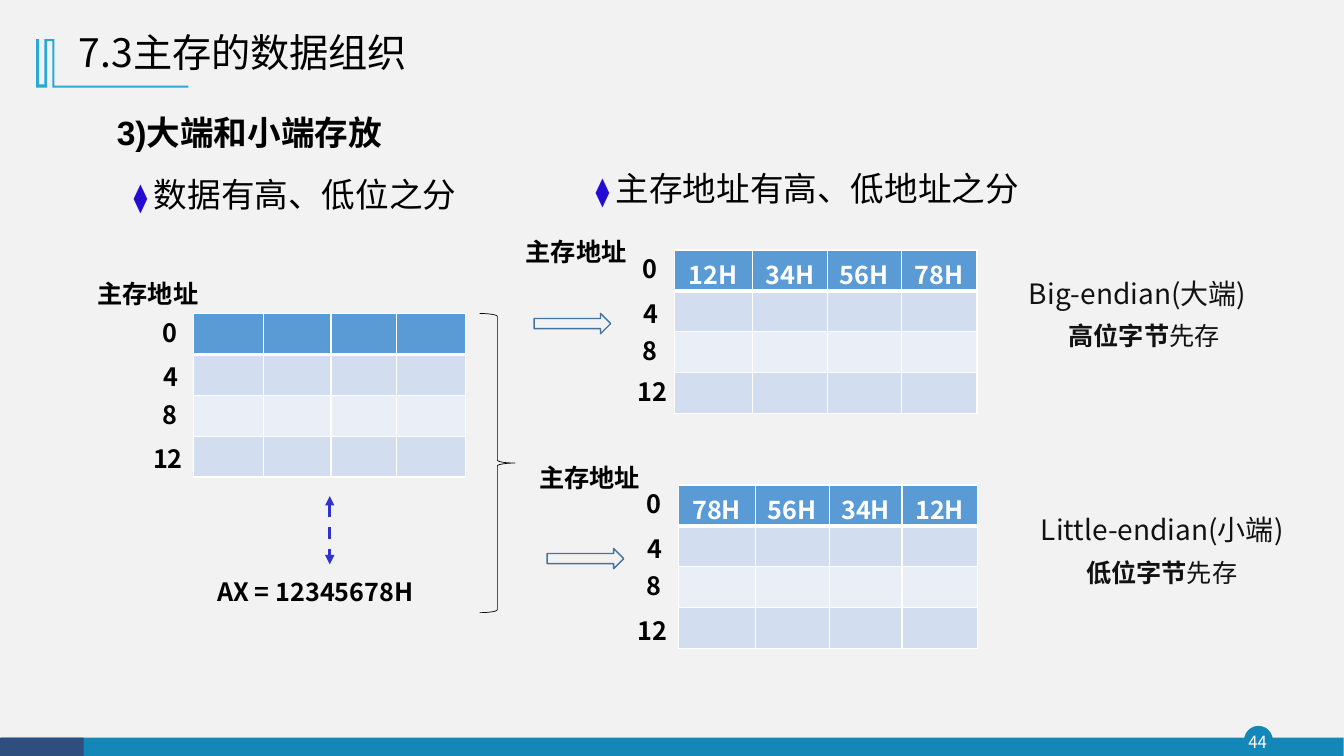
from lxml.etree import SubElement
from pptx import Presentation
from pptx.dml.color import RGBColor
from pptx.enum.dml import MSO_LINE
from pptx.enum.lang import MSO_LANGUAGE_ID
from pptx.enum.shapes import MSO_CONNECTOR, MSO_SHAPE
from pptx.enum.text import MSO_ANCHOR, MSO_AUTO_SIZE, PP_ALIGN
from pptx.oxml import parse_xml
from pptx.oxml.ns import nsdecls, qn
from pptx.util import Cm, Pt

NOTO = "Noto Sans CJK SC"
BLACK, WHITE, INK = "000000", "FFFFFF", "121212"
TEAL, NAVY, SKY = "1387B7", "2E4E7E", "28A9D6"
BANDS = ["5B9BD5", "D2DEEF", "EAEFF7", "D2DEEF"]
ROW = 1.03


def color(code):
    return RGBColor.from_string(code)


def style(run, size, code=BLACK, bold=False, face=NOTO):
    font = run.font
    font.size, font.bold, font.name = Pt(size), bold, face
    font.color.rgb = color(code)
    font.language_id = MSO_LANGUAGE_ID.SIMPLIFIED_CHINESE
    SubElement(run._r.rPr, qn("a:ea")).set("typeface", NOTO)


def place(shape, left, top, width, height):
    shape.left, shape.top = Cm(left), Cm(top)
    shape.width, shape.height = Cm(width), Cm(height)


def fill_in(holder, text, size, gap, bold=False, face=NOTO):
    frame = holder.text_frame
    frame.text = text
    frame.auto_size = MSO_AUTO_SIZE.NONE
    line = frame.paragraphs[0]
    line.alignment = PP_ALIGN.LEFT
    line.line_spacing, line.space_before = gap, Pt(0)
    style(line.runs[0], size, bold=bold, face=face)
    return frame


def box(slide, area, text, size=18, code=BLACK, bold=True):
    frame = slide.shapes.add_textbox(*map(Cm, area)).text_frame
    frame.word_wrap = True
    frame.text = text
    style(frame.paragraphs[0].runs[0], size, code, bold)
    return frame


def add_run(line, text, *look):
    run = line.add_run()
    run.text = text
    style(run, *look)


def point(slide, area, text):
    line = box(slide, area, "⧫ ", 20, "240CD2", False).paragraphs[0]
    line.line_spacing = 1.35
    add_run(line, text, 24)


def note(slide, area, name, order, indent):
    frame = box(slide, area, name, 20, INK, False)
    line = frame.add_paragraph()
    line._p.get_or_add_pPr().set("marL", str(Cm(indent)))
    add_run(line, order, 18, INK, True, "Calibri")
    add_run(line, "先存", 18, INK, False, "Calibri")
    for line in frame.paragraphs:
        line.line_spacing = 1.35


def shape(slide, kind, area, fill=None, edge=None, width=1):
    item = slide.shapes.add_shape(kind, *map(Cm, area))
    paint(item, fill, edge, width)


def paint(item, fill=None, edge=None, width=1):
    item.shadow.inherit = False
    if fill:
        item.fill.solid()
        item.fill.fore_color.rgb = color(fill)
    else:
        item.fill.background()
    if edge:
        item.line.color.rgb = color(edge)
        item.line.width = Pt(width)
    else:
        item.line.fill.background()


def border(cell, row):
    thick = {0: "B", 1: "T"}.get(row)
    for spot, side in enumerate("LRTB"):
        width = Pt(3 if side == thick else 1)
        cell._tc.get_or_add_tcPr().insert(spot, parse_xml(
            f'<a:ln{side} {nsdecls("a")} w="{width}"><a:solidFill>'
            f'<a:srgbClr val="{WHITE}"/></a:solidFill></a:ln{side}>'))


def grid(slide, left, top, widths, heads):
    area = map(Cm, (left, top, sum(widths), ROW * len(BANDS)))
    table = slide.shapes.add_table(len(BANDS), len(widths), *area).table
    for col, width in zip(table.columns, widths):
        col.width = Cm(width)
    for r, band in enumerate(BANDS):
        table.rows[r].height = Cm(ROW)
        for c in range(len(widths)):
            cell = table.cell(r, c)
            cell.margin_bottom = 0
            cell.fill.solid()
            cell.fill.fore_color.rgb = color(band)
            border(cell, r)
            if r == 0 and heads:
                cell.text = heads[c]
                line = cell.text_frame.paragraphs[0]
                line.alignment = PP_ALIGN.CENTER
                style(line.runs[0], 18, WHITE, True)


def memory(slide, left, top, widths, heads, label, last):
    grid(slide, left, top, widths, heads)
    box(slide, (*label, 3.12, 1.02), "主存地址")
    spots = [(-1.04, -0.03), (-1.02, 1.09), (-1.04, 2.03), last]
    for row, (dx, dy) in enumerate(spots):
        width = 1.35 if row == 3 else 1.09
        box(slide, (left + dx, top + dy, width, 1.02), str(4 * row))


def link(slide, x, top, end):
    line = slide.shapes.add_connector(
        MSO_CONNECTOR.STRAIGHT, Cm(x), Cm(top), Cm(x), Cm(end))
    line.line.color.rgb = color("3333CC")
    line.line.width = Pt(2.25)
    line.line.dash_style = MSO_LINE.DASH
    for tag in ("a:headEnd", "a:tailEnd"):
        SubElement(line.line._ln, qn(tag)).set("type", "triangle")
    SubElement(line._element.spPr, qn("a:effectLst"))


def frame_up(slide):
    shape(slide, MSO_SHAPE.OVAL, (31.37, 18.31, 0.69, 0.69), TEAL, TEAL)
    shape(slide, MSO_SHAPE.RECTANGLE, (0.03, 18.59, 33.83, 0.46), TEAL)
    shape(slide, MSO_SHAPE.RECTANGLE, (0, 18.59, 2.11, 0.46), NAVY)
    frame = box(slide, (31.29, 18.31, 0.81, 0.79), "44", 12, WHITE, False)
    frame.margin_left = frame.margin_right = 0
    frame.margin_top = frame.margin_bottom = 0
    frame.vertical_anchor = MSO_ANCHOR.MIDDLE
    frame.paragraphs[0].alignment = PP_ALIGN.CENTER
    mark = slide.shapes.build_freeform(137, 99, scale=Cm(0.01))
    mark.add_line_segments([
        (137, 216), (475, 216), (475, 221), (132, 221), (132, 104),
        (119, 104), (119, 221), (91, 221), (91, 99), (99, 99),
        (99, 213), (112, 213), (112, 99)])
    paint(mark.convert_to_shape(), SKY)


def main():
    deck = Presentation()
    deck.slide_width, deck.slide_height = Cm(33.87), Cm(19.05)
    slide = deck.slides.add_slide(deck.slide_layouts[1])
    slide.background.fill.solid()
    slide.background.fill.fore_color.rgb = color("F2F2F2")
    frame_up(slide)

    title, body = slide.placeholders
    place(title, 1.73, 0.51, 21.18, 1.73)
    frame = fill_in(title, "7.3主存的数据组织", 28, 0.9)
    frame.vertical_anchor = MSO_ANCHOR.MIDDLE
    place(body, 2.69, 2.34, 24.99, 1.5)
    frame = fill_in(body, "3)大端和小端存放", 24, 1.35, True, "Arial")
    props = frame.paragraphs[0]._p.get_or_add_pPr()
    props.set("marL", "0")
    props.set("indent", "0")
    SubElement(props, qn("a:buNone"))
    point(slide, (3.12, 3.91, 9.86, 1.65), "数据有高、低位之分")
    point(slide, (14.76, 3.76, 11.86, 1.63), "主存地址有高、低地址之分")

    big = ["12H", "34H", "56H", "78H"]
    memory(slide, 4.88, 7.9, [1.76, 1.7, 1.66, 1.73], [],
           (2.21, 6.88), (-1.27, 3.15))
    memory(slide, 16.99, 6.3, [1.97, 1.89, 1.86, 1.91], big,
           (13, 5.82), (-1.17, 3.07))
    memory(slide, 17.09, 12.22, [1.94, 1.87, 1.83, 1.9], big[::-1],
           (13.34, 11.53), (-1.27, 3.15))

    box(slide, (5.23, 14.4, 6.15, 1.02), "AX = 12345678H")
    link(slide, 8.31, 12.5, 14.22)
    shape(slide, MSO_SHAPE.RIGHT_BRACE, (12.09, 7.9, 0.89, 7.54),
          edge=BLACK, width=0.5)
    for left, top in [(13.46, 7.9), (13.79, 13.82)]:
        shape(slide, MSO_SHAPE.RIGHT_ARROW, (left, top, 1.93, 0.51),
              edge="43739E")
    note(slide, (25.68, 6.55, 6.17, 2.44), "Big-endian(大端)", "高位字节", 1)
    note(slide, (25.98, 12.5, 6.78, 2.44), "Little-endian(小端)",
         "低位字节", 1.14)
    deck.save("out.pptx")


if __name__ == "__main__":
    main()
